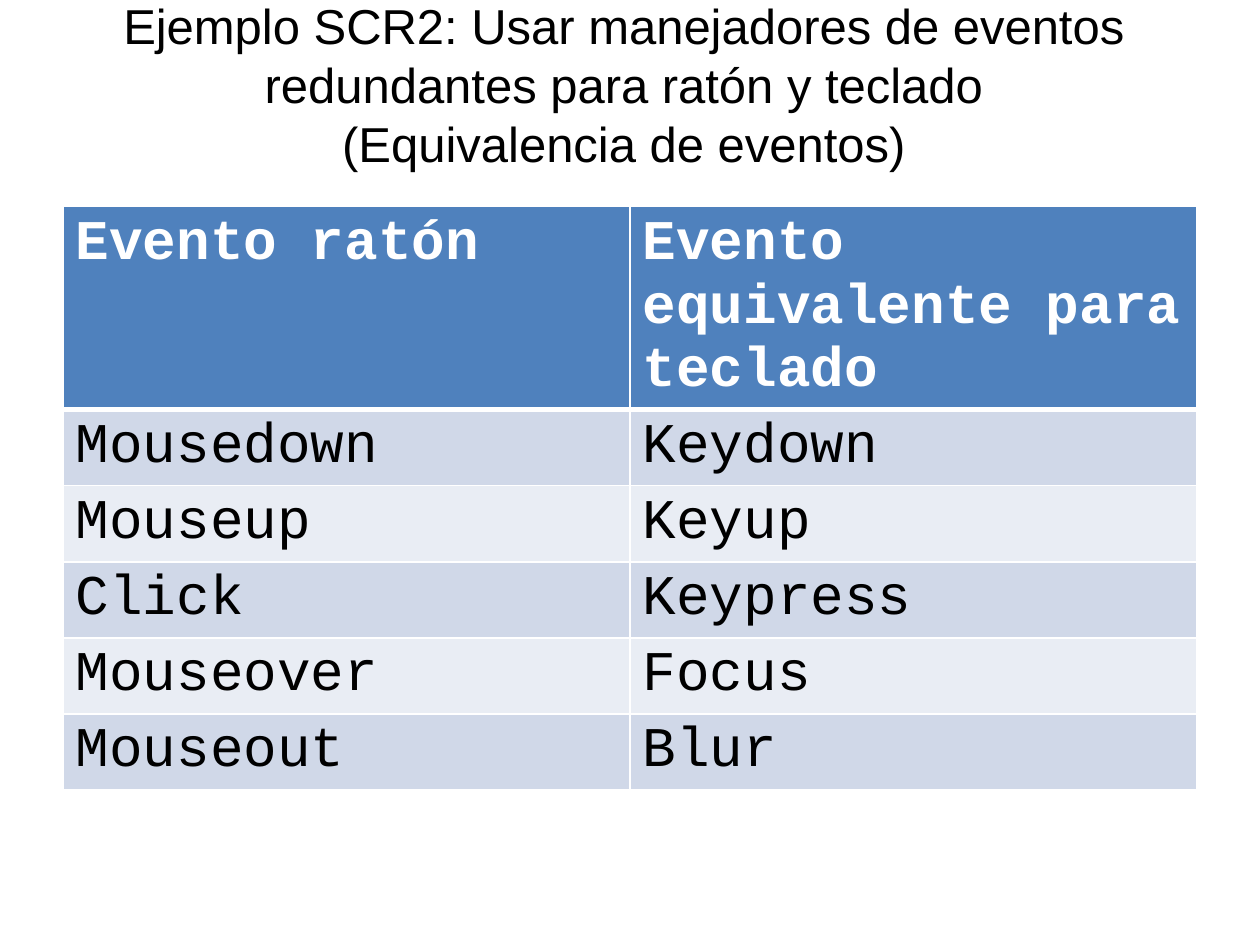
import pptx
import pptx.dml.color
import pptx.enum.text
import pptx.oxml.ns
import pptx.util
from lxml import etree

Inches = pptx.util.Inches
Pt = pptx.util.Pt

COLORS = {
    "text": "000000",
    "white": "FFFFFF",
    "header": "4F81BD",
    "band_dark": "D0D8E8",
    "band_light": "E9EDF4",
}
TITLE_LINES = [
    "Ejemplo SCR2: Usar manejadores de eventos redundantes para ratón y teclado",
    "(Equivalencia de eventos)",
]
EVENTS = [
    ("Evento ratón", "Evento equivalente para teclado"),
    ("Mousedown", "Keydown"),
    ("Mouseup", "Keyup"),
    ("Click", "Keypress"),
    ("Mouseover", "Focus"),
    ("Mouseout", "Blur"),
]


def rgb(name):
    return pptx.dml.color.RGBColor.from_string(COLORS[name])


def add_run(p, text, font, size, color, bold=False):
    r = p.add_run()
    r.text = text
    r.font.name = font
    r.font.size = Pt(size)
    r.font.bold = bold
    r.font.color.rgb = rgb(color)


def set_borders(cell, widths):
    qn = pptx.oxml.ns.qn
    tcPr = cell._tc.get_or_add_tcPr()
    for i, (side, width) in enumerate(widths.items()):
        ln = etree.Element(qn(f"a:ln{side}"), w=str(Pt(width)))
        fill = etree.SubElement(ln, qn("a:solidFill"))
        etree.SubElement(fill, qn("a:srgbClr"), val=COLORS["white"])
        tcPr.insert(i, ln)


def place_title(s, left, top, width, height):
    title = s.shapes.title
    title.left, title.top, title.width, title.height = left, top, width, height
    tf = title.text_frame
    tf.word_wrap = True
    tf.auto_size = pptx.enum.text.MSO_AUTO_SIZE.NONE
    tf.vertical_anchor = pptx.enum.text.MSO_ANCHOR.MIDDLE
    p = tf.paragraphs[0]
    p.alignment = pptx.enum.text.PP_ALIGN.CENTER
    for i, line in enumerate(TITLE_LINES):
        if i:
            p.add_line_break()
        add_run(p, line, "Arial", 28, "text")


def place_events_table(s, left, top, width, header_height, row_height):
    height = header_height + row_height * (len(EVENTS) - 1)
    table = s.shapes.add_table(len(EVENTS), 2, left, top, width, height).table
    for i, names in enumerate(EVENTS):
        is_header = i == 0
        table.rows[i].height = header_height if is_header else row_height
        fill = "header" if is_header else ("band_light", "band_dark")[i % 2]
        widths = {"L": 1, "R": 1, "T": 3 if i == 1 else 1, "B": 3 if is_header else 1}
        for j, name in enumerate(names):
            cell = table.cell(i, j)
            cell.fill.solid()
            cell.fill.fore_color.rgb = rgb(fill)
            set_borders(cell, widths)
            color = "white" if is_header else "text"
            add_run(cell.text_frame.paragraphs[0], name, "Courier New", 32, color, is_header)


def main():
    prs = pptx.Presentation()
    prs.slide_width, prs.slide_height = Inches(10), Inches(7.5)
    s = prs.slides.add_slide(prs.slide_layouts[5])
    place_title(s, Inches(0.45), Inches(0), Inches(9), Inches(1.33))
    place_events_table(s, Inches(0.5), Inches(1.64), Inches(9), Inches(1.6), Inches(0.6))
    prs.save("out.pptx")


if __name__ == "__main__":
    main()
